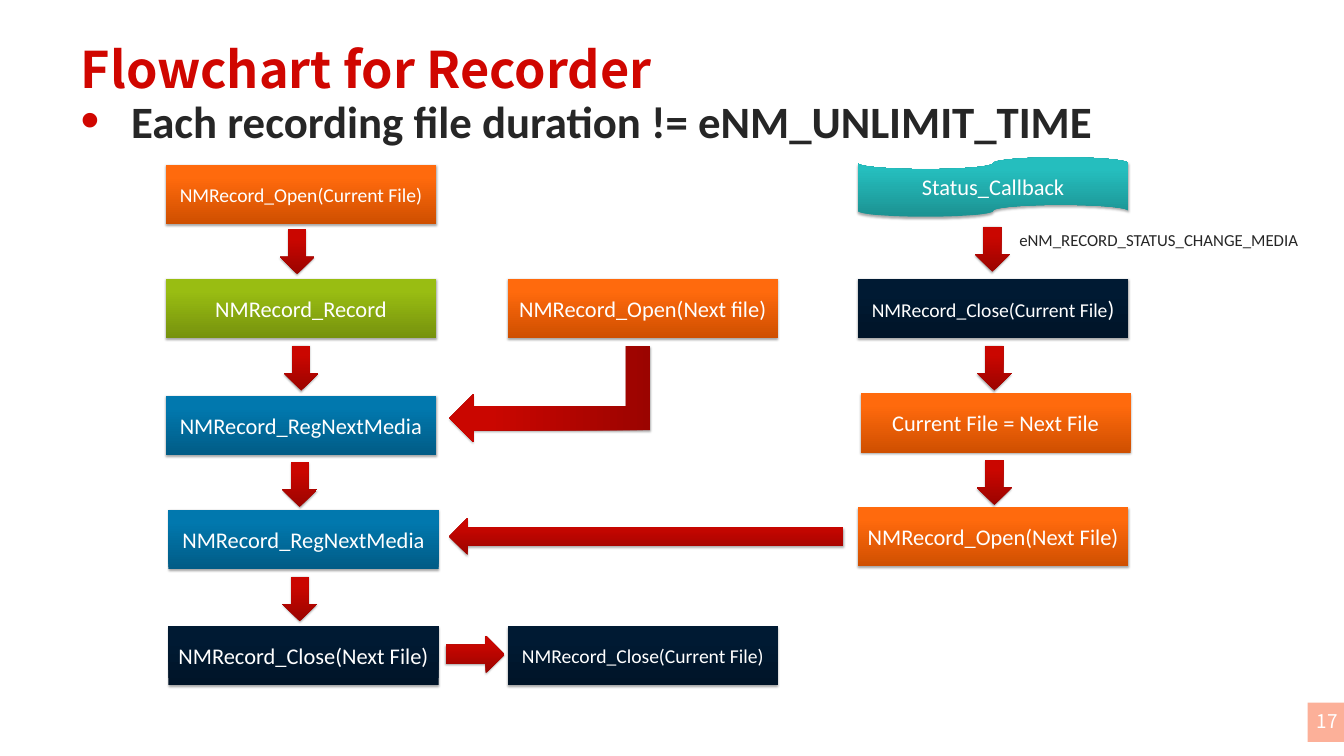
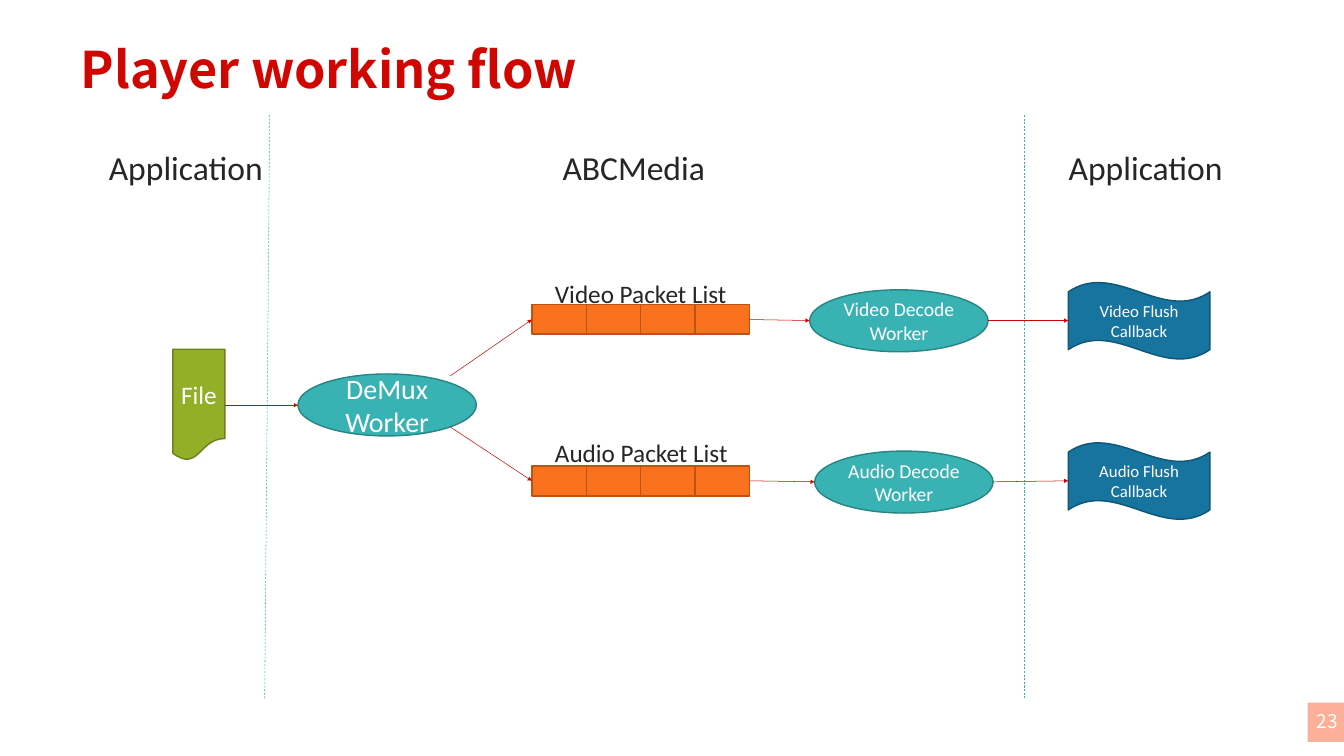
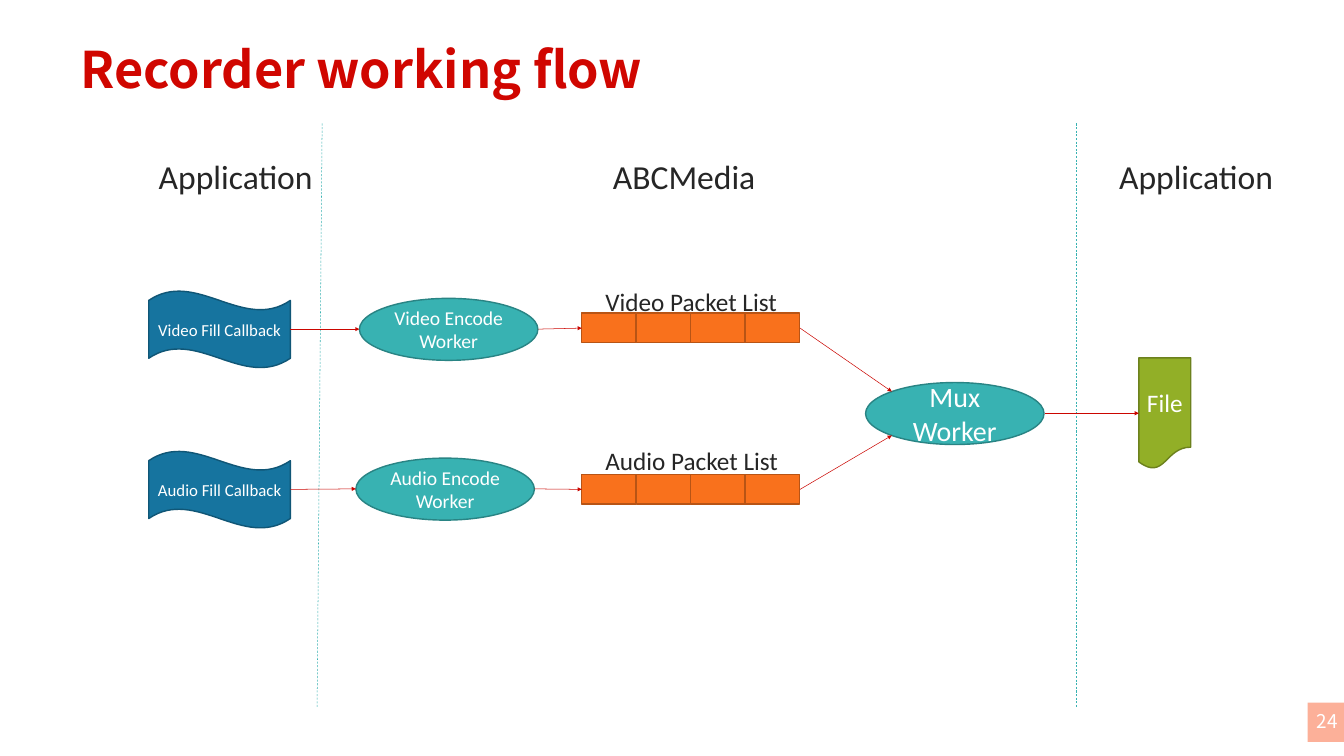
from lxml import etree
from pptx import Presentation
from pptx import util as u
from pptx.dml import color
from pptx.enum import dml, shapes, text
from pptx.oxml import ns

RED, DARK, WHITE, PINK, LINE_RED = "D00600", "262626", "FFFFFF", "FCB099", "CB0600"
HEAD_FONT, BODY_FONT = "Noto Sans CJK SC", "Calibri"
ORANGE, GREEN, BLUE = ("CF4F00", "FF6A0D"), ("76920E", "99BD12"), ("015C86", "0178AE")
TEAL, NAVY, ARROW = ("1C9292", "25BEBE"), ("001428", "001A33"), ("9B0400", "CA0600")
FILE, WORKER = ("92AF27", "6C811D"), ("38B2B2", "298484")
PACKET, CALLBACK = ("F9711C", "B85415"), ("16749F", "105676")
CENTER, LEFT = text.PP_ALIGN.CENTER, text.PP_ALIGN.LEFT
Kind = shapes.MSO_SHAPE
rgb = color.RGBColor.from_string


def write(frame, runs, ink=WHITE, font=BODY_FONT, bold=False, align=CENTER):
    para = frame.paragraphs[0]
    para.alignment = align
    for words, size in runs:
        span = para.add_run()
        span.text = words
        span.font.size = u.Pt(size)
        span.font.name = font
        span.font.bold = bold
        span.font.color.rgb = rgb(ink)
    return para


def draw(page, kind, at, fill, edge=None, runs=()):
    box = page.shapes.add_shape(kind, *map(u.Inches, at))
    box.shadow.inherit = False
    if isinstance(fill, tuple):
        box.fill.gradient()
        box.fill.gradient_angle = 90
        for stop, tone, place in zip(box.fill.gradient_stops, fill, (0, 0.8)):
            stop.color.rgb = rgb(tone)
            stop.position = place
        effects = box._element.spPr.find(ns.qn("a:effectLst"))
        shadow = etree.SubElement(effects, ns.qn("a:outerShdw"), blurRad=str(u.Pt(3.1)),
                                  dist=str(u.Pt(1.8)), dir="5400000", rotWithShape="0")
        tone = etree.SubElement(shadow, ns.qn("a:srgbClr"), val="000000")
        etree.SubElement(tone, ns.qn("a:alpha"), val="35000")
    else:
        box.fill.solid()
        box.fill.fore_color.rgb = rgb(fill)
    if edge:
        box.line.color.rgb = rgb(edge)
        box.line.width = u.Pt(2)
    else:
        box.line.fill.background()
    if runs:
        box.text_frame.vertical_anchor = text.MSO_ANCHOR.MIDDLE
        write(box.text_frame, runs)
    return box


deck = Presentation()
deck.slide_width, deck.slide_height = u.Inches(26.66), u.Inches(15)
pages = []
for title, number in (("Flowchart for Recorder", "17"), ("Player working flow", "23"),
                      ("Recorder working flow", "24")):
    page = deck.slides.add_slide(deck.slide_layouts[5])
    draw(page, Kind.RECTANGLE, (25.94, 13.94, 0.72, 0.78), PINK)
    heading = page.shapes.title
    heading.left, heading.top, heading.width, heading.height = map(u.Inches, (1.33, 0.42, 24.01, 1.86))
    footer = page.shapes.add_textbox(*map(u.Inches, (25.8, 13.88, 1.05, 0.84)))
    for box in (heading, footer):
        frame = box.text_frame
        frame.word_wrap = True
        frame.vertical_anchor = text.MSO_ANCHOR.MIDDLE
        frame.margin_left = frame.margin_right = u.Inches(0.27)
        frame.margin_top = frame.margin_bottom = u.Inches(0.13)
    write(heading.text_frame, [(title, 72)], RED, HEAD_FONT, True, LEFT)
    write(footer.text_frame, [(number, 27)], WHITE, HEAD_FONT)
    pages.append(page)

chart_page = pages[0]
body = chart_page.shapes.add_textbox(*map(u.Inches, (1.33, 1.72, 24.01, 1.4)))
frame = body.text_frame
frame.word_wrap = True
frame.margin_left = frame.margin_right = u.Inches(0.27)
frame.margin_top = frame.margin_bottom = u.Inches(0.13)
para = write(frame, [("Each recording file duration != eNM_UNLIMIT_TIME", 64)], DARK, bold=True, align=LEFT)
para.space_before = para.space_after = u.Pt(12)
props = para._p.get_or_add_pPr()
props.set("marL", str(u.Inches(1)))
props.set("indent", str(u.Inches(-1)))
tone = etree.SubElement(props, ns.qn("a:buClr"))
etree.SubElement(tone, ns.qn("a:srgbClr"), val=RED)
etree.SubElement(props, ns.qn("a:buSzPct"), val="120000")
etree.SubElement(props, ns.qn("a:buFont"), typeface="Arial")
etree.SubElement(props, ns.qn("a:buChar"), char="•")

steps = [
    (3.29, 3.27, ORANGE, [("NMRecord_Open(Current File)", 28)]),
    (3.29, 5.53, GREEN, [("NMRecord_Record", 32)]),
    (3.29, 7.85, BLUE, [("NMRecord_RegNextMedia", 32)]),
    (3.34, 10.11, BLUE, [("NMRecord_RegNextMedia", 32)]),
    (3.34, 12.42, NAVY, [("NMRecord_Close(Next File)", 32)]),
    (10.07, 5.53, ORANGE, [("NMRecord_Open(Next file)", 32)]),
    (10.07, 12.42, NAVY, [("NMRecord_Close(Current File)", 28)]),
    (17.02, 5.53, NAVY, [("NMRecord_Close(Current File", 28), (")", 32)]),
    (17.07, 7.8, ORANGE, [("Current File = Next File", 32)]),
    (17.02, 10.06, ORANGE, [("NMRecord_Open(Next File)", 32)]),
]
for left, top, fill, runs in steps:
    draw(chart_page, Kind.RECTANGLE, (left, top, 5.36, 1.18), fill, runs=runs)
draw(chart_page, Kind.FLOWCHART_PUNCHED_TAPE, (17.02, 3.12, 5.36, 1.18), TEAL,
     runs=[("Status_Callback", 32)])
for left, top in ((5.55, 4.55), (5.63, 6.86), (5.6, 9.17), (5.6, 11.44),
                  (19.34, 4.5), (19.38, 6.86), (19.38, 9.13)):
    draw(chart_page, Kind.DOWN_ARROW, (left, top, 0.69, 0.89), ARROW)
draw(chart_page, Kind.RIGHT_ARROW, (8.85, 12.61, 1.16, 0.75), ARROW)
draw(chart_page, Kind.LEFT_ARROW, (8.91, 10.28, 7.82, 0.73), ARROW)
bent = draw(chart_page, Kind.BENT_UP_ARROW, (9.95, 5.83, 1.91, 3.98), ARROW)
bent.rotation = 90
bent._element.spPr.xfrm.set("flipV", "1")

player = {
    "file": (3.43, 6.93),
    "workers": [(5.91, 7.42, "DeMux Worker", 40), (16.06, 5.75, "Video Decode Worker", 28),
                (16.16, 8.95, "Audio Decode Worker", 28)],
    "callbacks": [(21.19, 5.6, "Video Flush Callback"), (21.19, 8.78, "Audio Flush Callback")],
    "packets": [(10.55, 6.04), (10.55, 9.25)],
    "dividers": [(5.35, 2.28, 5.25, 13.88), (20.31, 2.28, 20.31, 13.88)],
    "arrows": [(4.47, 8.04, 5.91, 8.04), (8.93, 7.46, 10.55, 6.34), (8.93, 8.47, 10.55, 9.54),
               (14.88, 6.34, 16.06, 6.36), (19.6, 6.36, 21.19, 6.36),
               (14.88, 9.54, 16.16, 9.56), (19.7, 9.56, 21.19, 9.54)],
    "labels": [(2.06, 2.87, 3.29, "Application", 48), (11.06, 2.87, 3.09, "ABCMedia", 48),
               (21.1, 2.87, 3.29, "Application", 48), (10.91, 5.47, 3.64, "Video Packet List", 36),
               (10.91, 8.62, 3.66, "Audio Packet List", 36)],
}
recorder = {
    "file": (22.59, 7.1),
    "workers": [(17.17, 7.59, "Mux Worker", 40), (7.13, 5.92, "Video Encode Worker", 28),
                (7.06, 9.09, "Audio Encode Worker", 28)],
    "callbacks": [(2.95, 5.77, "Video Fill Callback"), (2.95, 8.95, "Audio Fill Callback")],
    "packets": [(11.54, 6.21), (11.54, 9.41)],
    "dividers": [(6.39, 2.45, 6.29, 14.05), (21.35, 2.45, 21.35, 14.05)],
    "arrows": [(5.76, 6.53, 7.13, 6.53), (5.76, 9.71, 7.06, 9.7), (10.68, 6.53, 11.54, 6.51),
               (10.6, 9.7, 11.54, 9.71), (15.87, 6.51, 17.69, 7.77),
               (15.87, 9.71, 17.69, 8.64), (20.72, 8.2, 22.59, 8.2)],
    "labels": [(3.05, 3.04, 3.29, "Application", 48), (12.06, 3.04, 3.09, "ABCMedia", 48),
               (22.1, 3.04, 3.29, "Application", 48), (11.91, 5.63, 3.64, "Video Packet List", 36),
               (11.91, 8.78, 3.66, "Audio Packet List", 36)],
}
labels = [(chart_page, 20.12, 4.5, 5.79, "eNM_RECORD_STATUS_CHANGE_MEDIA", 24)]
for page, flow in zip(pages[1:], (player, recorder)):
    draw(page, Kind.FLOWCHART_DOCUMENT, (*flow["file"], 1.03, 2.21), *FILE, [("File", 36)])
    for left, top, words, size in flow["workers"]:
        draw(page, Kind.OVAL, (left, top, 3.54, 1.23), *WORKER, [(words, size)])
    for left, top in flow["packets"]:
        for index in range(4):
            draw(page, Kind.RECTANGLE, (left + 1.08 * index, top, 1.08, 0.59), *PACKET)
    for left, top, words in flow["callbacks"]:
        draw(page, Kind.WAVE, (left, top, 2.81, 1.53), *CALLBACK, [(words, 24)])
    for role, ink in (("dividers", WORKER[0]), ("arrows", LINE_RED)):
        for ends in flow[role]:
            line = page.shapes.add_connector(shapes.MSO_CONNECTOR.STRAIGHT, *map(u.Inches, ends))
            line.line.color.rgb = rgb(ink)
            line.line.width = u.Pt(0.75)
            if role == "dividers":
                line.line.dash_style = dml.MSO_LINE.DASH
            else:
                etree.SubElement(line.line._get_or_add_ln(), ns.qn("a:tailEnd"), type="triangle")
            etree.SubElement(line._element.spPr, ns.qn("a:effectLst"))
    labels += [(page, *label) for label in flow["labels"]]

for page, left, top, width, words, size in labels:
    label = page.shapes.add_textbox(*map(u.Inches, (left, top, width, size * 0.0167 + 0.1)))
    label.text_frame.word_wrap = False
    label.text_frame.auto_size = text.MSO_AUTO_SIZE.SHAPE_TO_FIT_TEXT
    write(label.text_frame, [(words, size)], DARK, align=LEFT)

deck.save("out.pptx")
